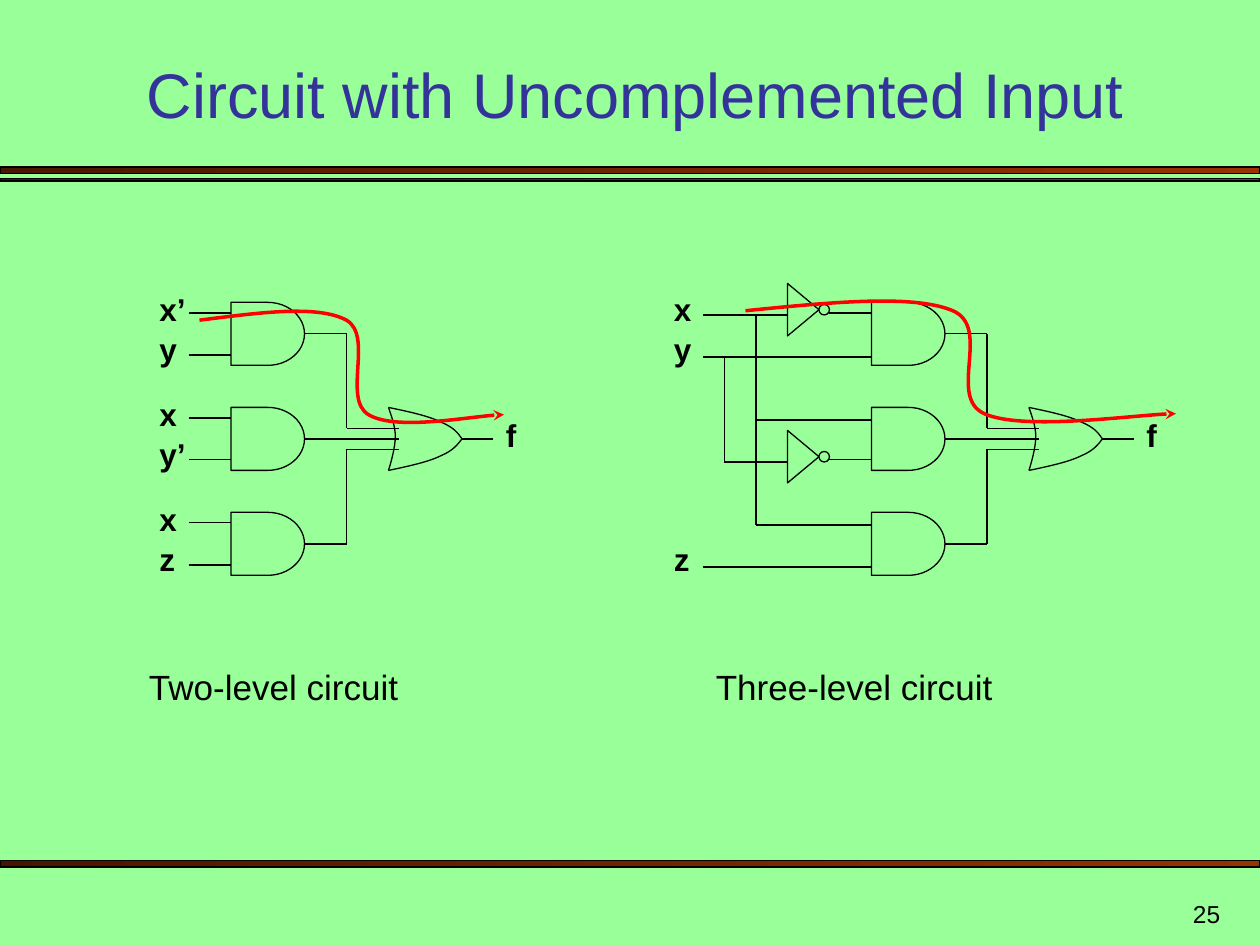
from lxml import etree
from pptx import Presentation
from pptx import util as u
from pptx.dml.color import RGBColor
from pptx.enum import shapes, text
from pptx.oxml.ns import qn

STEP = 25.4 / 120  # cm; the slide is a grid of 120 by 90 steps
BLACK, RED, GREEN, BLUE = "000000", "FF0000", "99FF99", "333399"
rgb = RGBColor.from_string


def outline(shape, colour=BLACK, width=0.75):
    """Set the line of a shape or connector and take its shadow away."""
    shape.line.color.rgb = rgb(colour)
    shape.line.width = u.Pt(width)
    etree.SubElement(shape.element.spPr, qn("a:effectLst"))


def add_curve(parent, points, **line_format):
    """Draw cubic Béziers through a start point and triples of points."""
    start, *rest = [(u.Cm(x * STEP), u.Cm(y * STEP)) for x, y in points]
    builder = parent.shapes.build_freeform(*start)
    builder.add_line_segments(rest, close=False)
    curve = builder.convert_to_shape()
    path = next(curve.element.iter(qn("a:path")))
    segments = path.findall(qn("a:lnTo"))
    for first in range(0, len(segments), 3):
        bezier = etree.SubElement(path, qn("a:cubicBezTo"))
        for segment in segments[first:first + 3]:
            bezier.append(segment[0])
            path.remove(segment)
    curve.fill.background()
    outline(curve, **line_format)
    return curve


presentation = Presentation()
presentation.slide_width, presentation.slide_height = u.Cm(25.4), u.Cm(19.05)
slide = presentation.slides.add_slide(presentation.slide_layouts[5])
slide.background.fill.solid()
slide.background.fill.fore_color.rgb = rgb(GREEN)

# Rules under the title and above the footer
for top, height in ((3.37, 0.13), (3.6, 0.05), (17.35, 0.13)):
    bar = slide.shapes.add_shape(shapes.MSO_SHAPE.RECTANGLE, 0, u.Cm(top), u.Cm(25.4), u.Cm(height))
    bar.fill.gradient()
    bar.fill.gradient_angle = 180
    for stop, colour in zip(bar.fill.gradient_stops, ("993300", "461700")):
        stop.color.rgb = rgb(colour)
    outline(bar)

title = slide.shapes.title
title.left, title.top, title.width, title.height = (u.Cm(v) for v in (1.48, 1.06, 22.65, 1.72))
title.text_frame.text = "Circuit with Uncomplemented Input"
title.text_frame.vertical_anchor = text.MSO_ANCHOR.BOTTOM
title_paragraph = title.text_frame.paragraphs[0]
title_paragraph.alignment = text.PP_ALIGN.CENTER
for name, value in {"name": "Arial", "size": u.Pt(36)}.items():
    setattr(title_paragraph.font, name, value)
title_paragraph.font.color.rgb = rgb(BLUE)

# What differs between the circuits; positions are grid steps
gate_tops = (28.8, 38.8, 48.8)
two_level = {
    "shift": 0,
    "inverters": (),
    "wires": [(18, top + pin, 22, top + pin) for top in gate_tops for pin in (1, 5)],
    "labels": [("x’", 14, 27), ("y", 14, 30.8), ("x", 14, 37),
               ("y’", 14, 40.8), ("x", 14, 47), ("z", 14, 50.8)],
}
three_level = {
    "shift": 61,
    "inverters": (27, 41),
    "wires": [(67, 30, 75, 30), (79, 29.8, 83, 29.8), (67, 34, 83, 34),
              (72, 30, 72, 50), (72, 40, 83, 40), (72, 50, 83, 50),
              (69, 34, 69, 44), (69, 44, 75, 44), (79, 43.8, 83, 43.8), (67, 54, 83, 54)],
    "labels": [("x", 63, 27), ("y", 63, 30.8), ("z", 63, 50.8)],
}

label_format = {"name": "Arial", "size": u.Pt(18), "bold": True}
caption_format = {"name": "Arial", "size": u.Pt(20)}
number_format = {"name": "Arial", "size": u.Pt(14)}
texts = []

for circuit in (two_level, three_level):
    group = slide.shapes.add_group_shape()
    gate_left = 22 + circuit["shift"]
    elbow, or_left, or_tip = gate_left + 11, gate_left + 15, gate_left + 22

    for top in circuit["inverters"]:
        corners = [(u.Cm(x * STEP), u.Cm(y * STEP))
                   for x, y in ((75, top), (75, top + 5), (78, top + 2.5))]
        builder = group.shapes.build_freeform(*corners[0])
        builder.add_line_segments(corners[1:], close=True)
        triangle = builder.convert_to_shape()
        bubble = group.shapes.add_shape(
            shapes.MSO_SHAPE.OVAL, *(u.Cm(v * STEP) for v in (78, top + 2, 1, 1)))
        for part in (triangle, bubble):
            part.fill.solid()
            part.fill.fore_color.rgb = rgb(GREEN)
            outline(part)

    # Each wire may start at a gate
    wires = [(None, wire) for wire in circuit["wires"]]
    for top, wire_end in zip(gate_tops, (elbow, or_left + 1, elbow)):
        gate = group.shapes.add_shape(
            shapes.MSO_SHAPE.FLOWCHART_DELAY, *(u.Cm(v * STEP) for v in (gate_left, top, 7, 6)))
        gate.fill.background()
        outline(gate)
        wires.append((gate, (gate_left + 7, top + 3, wire_end, top + 3)))
    for gate_middle, pin in ((31.8, 40.8), (51.8, 42.8)):
        wires.append((None, (elbow, gate_middle, elbow, pin)))
        wires.append((None, (elbow, pin, or_left + 1, pin)))
    wires.append((None, (or_tip, 41.8, or_tip + 3, 41.8)))
    for gate, ends in wires:
        connector = group.shapes.add_connector(
            shapes.MSO_CONNECTOR.STRAIGHT, *(u.Cm(v * STEP) for v in ends))
        if gate is not None:
            connector.begin_connect(gate, 3)
        outline(connector)

    # OR gate: back, upper and lower edge
    for edge in (
        ((0, 38.8), (0.3, 39.7), (0.65, 40.6), (0.65, 41.6), (0.65, 42.6), (0.2, 44.2), (0, 44.8)),
        ((0, 38.8), (1.9, 39.2), (3.8, 39.6), (5, 40.2), (6.2, 40.7), (6.6, 41.2), (7, 41.8)),
        ((0, 44.8), (1.9, 44.4), (3.8, 44), (5, 43.4), (6.2, 42.9), (6.6, 42.3), (7, 41.8)),
    ):
        add_curve(group, [(or_left + x, y) for x, y in edge])

    for label, left, top in circuit["labels"] + [("f", or_tip + 3, 39)]:
        texts.append((group, label, (left, top, 5, 4.8), label_format))

texts += [
    (slide, "Two-level circuit", (13, 62.8, 29, 5.25), caption_format),
    (slide, "Three-level circuit", (67, 62.8, 29, 5.25), caption_format),
    (slide, "25", (92.4, 84, 25, 5), number_format),
]
for parent, words, box, font_format in texts:
    textbox = parent.shapes.add_textbox(*(u.Cm(v * STEP) for v in box))
    frame = textbox.text_frame
    frame.word_wrap = True
    frame.text = words
    paragraph = frame.paragraphs[0]
    for name, value in font_format.items():
        setattr(paragraph.font, name, value)
    paragraph.font.color.rgb = rgb(BLACK)
    if font_format is number_format:
        frame.vertical_anchor = text.MSO_ANCHOR.BOTTOM
        paragraph.alignment = text.PP_ALIGN.RIGHT
    else:
        frame.auto_size = text.MSO_AUTO_SIZE.SHAPE_TO_FIT_TEXT

# Longest signal paths
for signal in (
    ((19, 30.5), (24.6, 29.8), (30.2, 29), (33, 30.5), (35.6, 32), (32.6, 38), (35.1, 39.5),
     (37.6, 41), (45.8, 39.5), (48, 39.5)),
    ((71, 29.6), (79, 28.8), (87, 28), (90.75, 29.6), (94.5, 31.2), (90.2, 37.8), (93.75, 39.4),
     (97.3, 41), (109, 39.4), (112, 39.4)),
):
    arrow = add_curve(slide, signal, colour=RED, width=2)
    etree.SubElement(arrow.line._get_or_add_ln(), qn("a:tailEnd"), type="stealth")

presentation.save("out.pptx")
